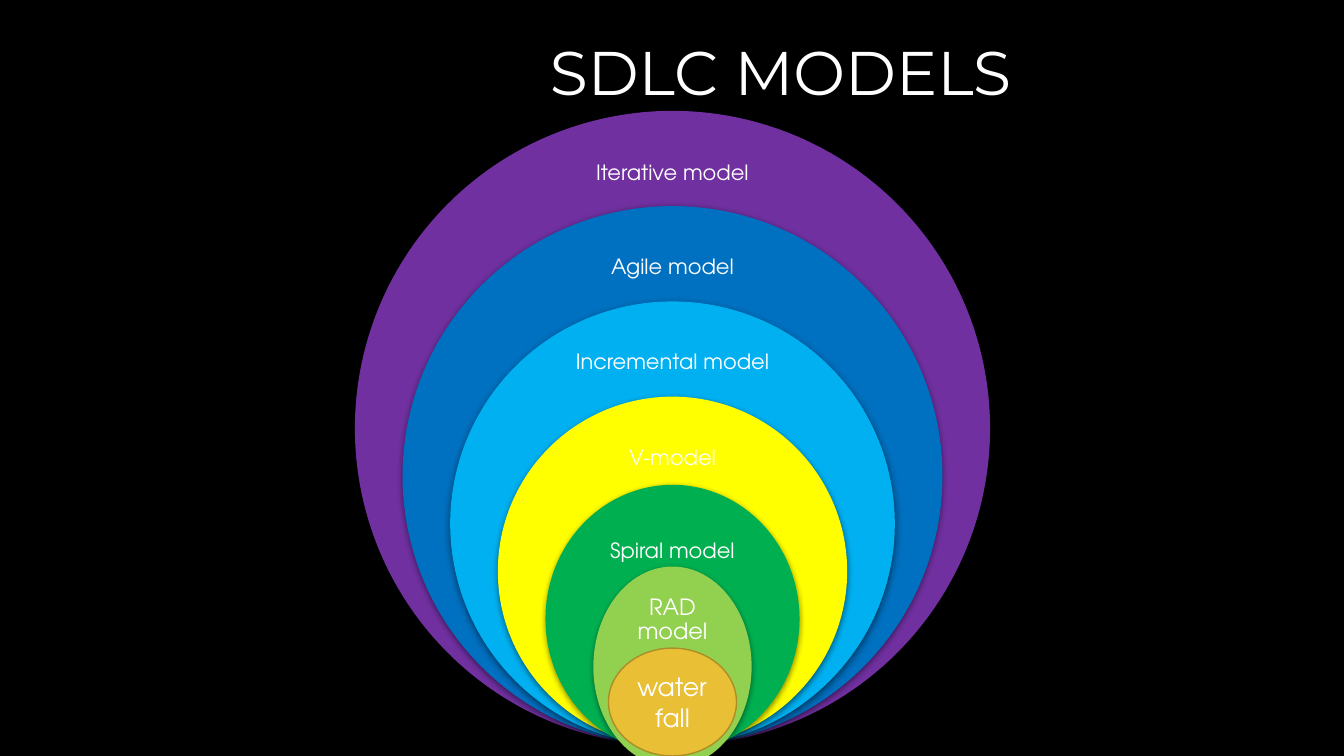
from lxml import etree
from pptx import Presentation
from pptx.dml.color import RGBColor
from pptx.enum import shapes, text
from pptx.oxml import ns
from pptx.util import Inches, Pt

TITLE = "SDLC MODELS"
CORE = "waterfall"
TITLE_FONT, BODY_FONT = "Montserrat", "TeX Gyre Adventor"
WHITE = "FFFFFF"
CENTER = 6.67
RING_BOTTOM, OUTER_DIAMETER, DIAMETER_STEP = 7.4, 6.3, 0.945

# name, colour, label top, label width, label height, label size
MODELS = [
    ("Iterative model", "7030A0", 1.41, 2.36, 0.63, 15),
    ("Agile model", "0070C0", 2.35, 2.31, 0.62, 15),
    ("Incremental model", "00B0F0", 3.29, 2.28, 0.61, 15),
    ("V-model", "FFFF00", 4.24, 1.87, 0.62, 15),
    ("Spiral model", "00B050", 5.14, 1.64, 0.66, 15),
    ("RAD model", "92D050", 5.91, 1.07, 0.48, 16),
]
OVALS = {"Spiral model": (4.81, 2.52, 2.66), "RAD model": (5.62, 1.57, 1.99)}


def color(value):
    return RGBColor.from_string(value)


def write(shape, content, font, size, align, inset, spacing):
    frame = shape.text_frame
    frame.text = content
    frame.word_wrap = True
    frame.vertical_anchor = text.MSO_ANCHOR.MIDDLE
    if inset is not None:
        frame.margin_left = frame.margin_right = Inches(inset)
        frame.margin_top = frame.margin_bottom = Inches(inset)
    paragraph = frame.paragraphs[0]
    paragraph.alignment = align
    paragraph.line_spacing = spacing
    run = paragraph.runs[0]
    run.font.name = font
    run.font.size = Pt(size)
    run.font.color.rgb = color(WHITE)


def add_ellipse(slide, top, width, height, fill):
    shape = slide.shapes.add_shape(
        shapes.MSO_SHAPE.OVAL, Inches(CENTER - width / 2), Inches(top),
        Inches(width), Inches(height))
    shape.shadow.inherit = False
    shape.fill.solid()
    shape.fill.fore_color.rgb = color(fill)
    shape.line.fill.background()
    return shape


def add_shadow(shape):
    effects = shape._element.spPr.find(ns.qn("a:effectLst"))
    shadow = etree.SubElement(
        effects, ns.qn("a:outerShdw"), blurRad=str(Pt(4.5)),
        dist=str(Pt(1.5)), dir="5400000", algn="ctr", rotWithShape="0")
    black = etree.SubElement(shadow, ns.qn("a:srgbClr"), val="000000")
    etree.SubElement(black, ns.qn("a:alpha"), val="48000")


def main():
    presentation = Presentation()
    presentation.slide_width = Inches(13.33)
    presentation.slide_height = Inches(7.5)
    slide = presentation.slides.add_slide(presentation.slide_layouts[6])
    slide.background.fill.solid()
    slide.background.fill.fore_color.rgb = color("000000")

    title = slide.shapes.add_textbox(
        Inches(4.44), Inches(0.29), Inches(5.85), Inches(0.91))
    write(title, TITLE, TITLE_FONT, 44, text.PP_ALIGN.RIGHT, None, 0.9)
    title.text_frame.margin_right = Inches(0.26)

    for index, (name, fill, top, width, height, size) in enumerate(MODELS):
        diameter = OUTER_DIAMETER - index * DIAMETER_STEP
        circle = (RING_BOTTOM - diameter, diameter, diameter)
        add_shadow(add_ellipse(slide, *OVALS.get(name, circle), fill))
        label = slide.shapes.add_textbox(
            Inches(CENTER - width / 2), Inches(top), Inches(width), Inches(height))
        write(label, name, BODY_FONT, size, text.PP_ALIGN.CENTER, 0.12, 0.9)

    core = add_ellipse(slide, 6.43, 1.27, 1.07, "E9BF35")
    core.line.color.rgb = color("AC8D27")
    core.line.width = Pt(1)
    write(core, CORE, BODY_FONT, 18, text.PP_ALIGN.CENTER, None, 1.0)

    presentation.save("out.pptx")


if __name__ == "__main__":
    main()
